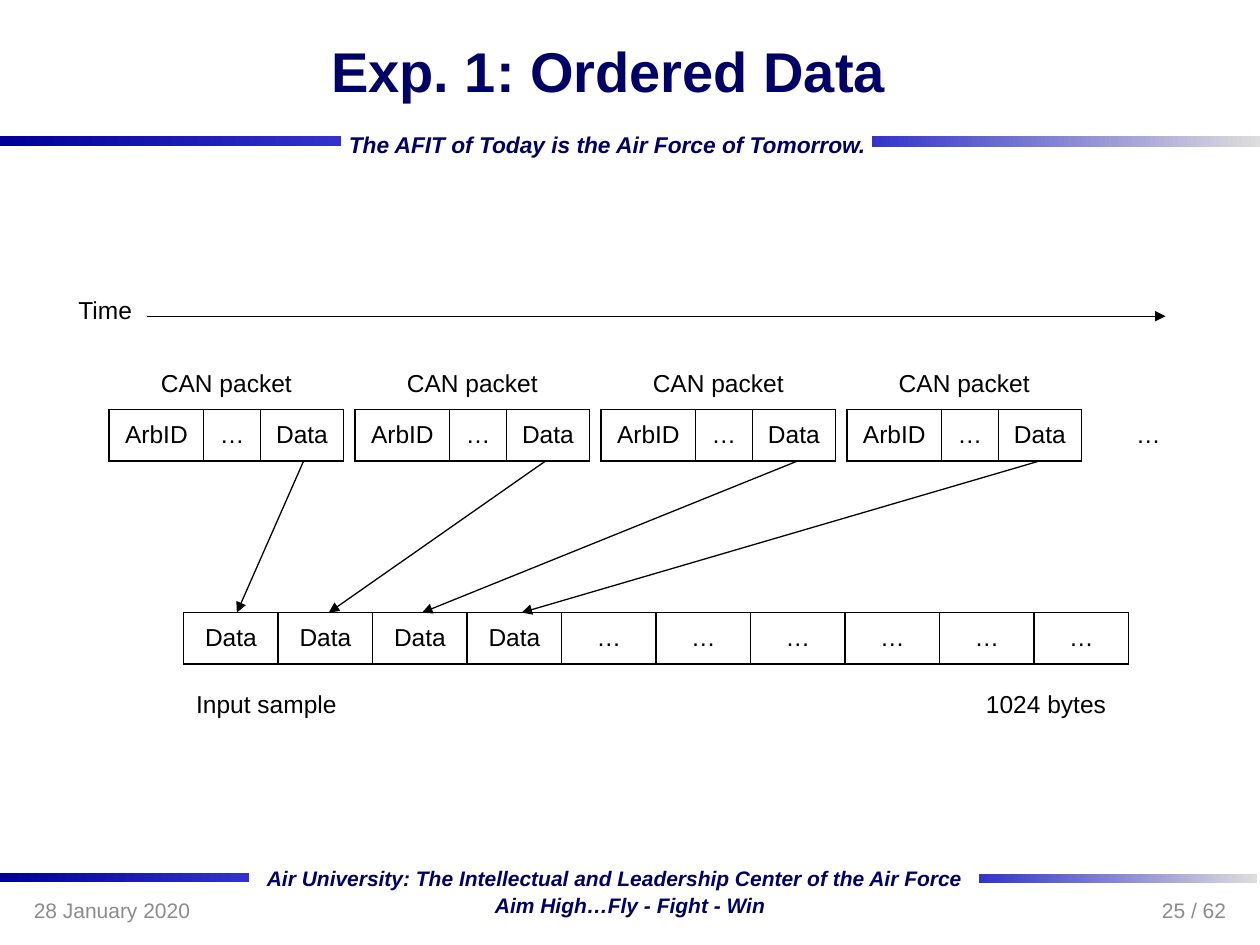
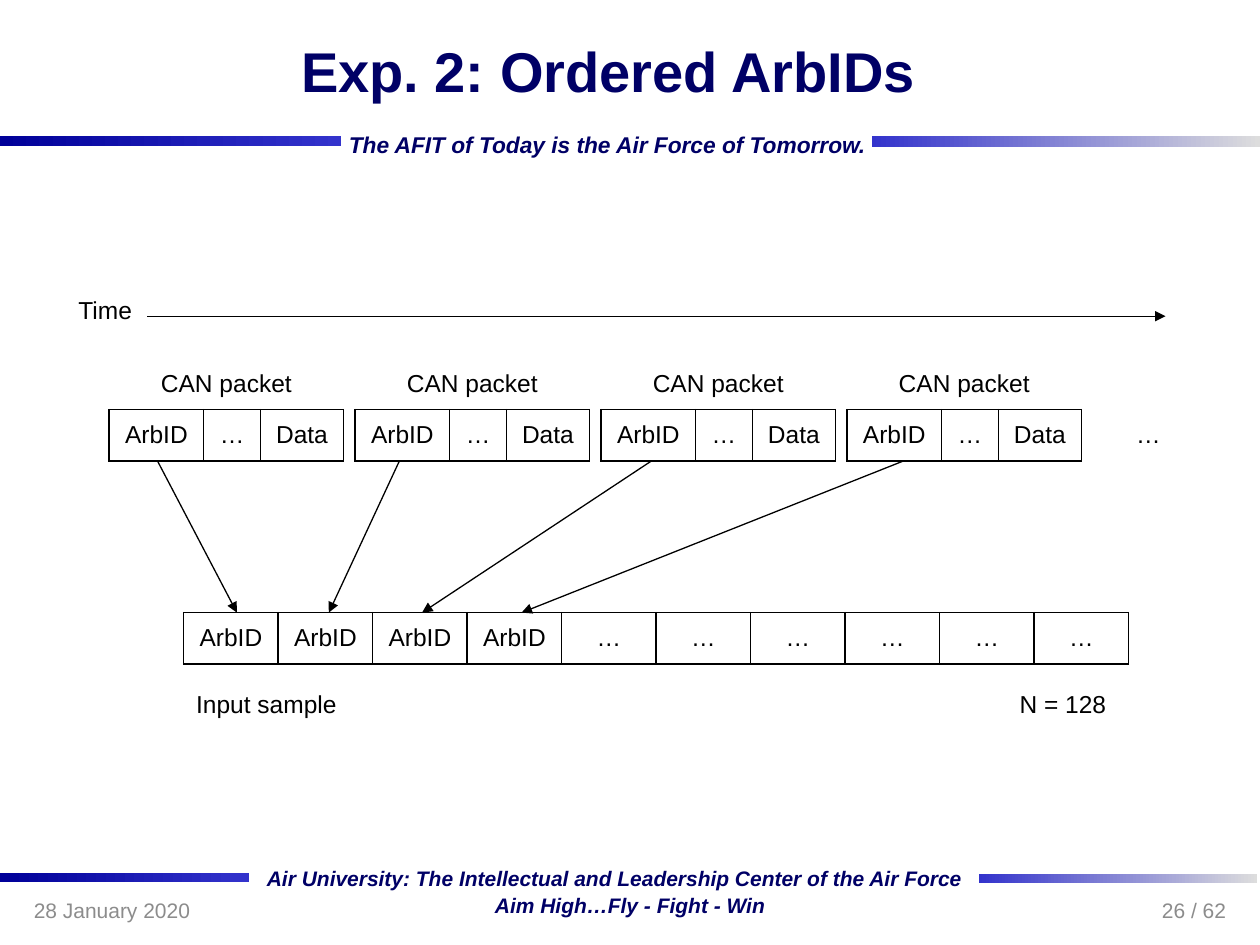
from dataclasses import dataclass

from lxml import etree
from pptx import Presentation
from pptx.dml.color import RGBColor
from pptx.enum.shapes import MSO_CONNECTOR, MSO_SHAPE
from pptx.enum.text import MSO_ANCHOR, PP_ALIGN
from pptx.oxml.ns import qn
from pptx.util import Inches, Pt

LEFT, CENTER, RIGHT = PP_ALIGN.LEFT, PP_ALIGN.CENTER, PP_ALIGN.RIGHT
MIDDLE = MSO_ANCHOR.MIDDLE
RECTANGLE = MSO_SHAPE.RECTANGLE
STRAIGHT = MSO_CONNECTOR.STRAIGHT

COLUMNS, ROWS = 100, 75
UNIT = Inches(0.1)
FONT = "Arial"
NAVY, GRAY, BLACK, WHITE = "000066", "8C8C8C", "000000", "FFFFFF"
DARK_BAND = ("000099", "3333CC")
LIGHT_BAND = ("3333CC", "DDDDDD")
PLAIN_TABLE = "{2D5ABB26-0587-4C30-8999-92F81FD0307C}"

ROW_HEIGHT = 4.07
PACKET_COLUMNS = (7.5, 4.5, 6.6)
PACKET_STEP = 19.52
PACKET_COUNT = 4
SAMPLE_CELLS = 10
SAMPLE_COLUMN = 7.5
ARROW_ENDS = (18.8, 26.1, 33.5, 41.4)


@dataclass
class Box:
    left: float
    top: float
    width: float
    height: float

    def inside(self, left, top, width, height):
        return Box(self.left + left, self.top + top, width, height)

    def lengths(self):
        return [grid(value) for value in (self.left, self.top, self.width, self.height)]


def grid(value):
    return int(value * UNIT)


def color(value):
    return RGBColor.from_string(value)


def add_run(paragraph, text, size, fill, bold=False, italic=False):
    run = paragraph.add_run()
    run.text = text
    font = run.font
    font.name, font.size, font.bold, font.italic = FONT, Pt(size), bold, italic
    font.color.rgb = color(fill)


def add_text(slide, box, text, size=14, fill=BLACK, align=LEFT, wrap=False,
             bold=False, italic=False):
    frame = slide.shapes.add_textbox(*box.lengths()).text_frame
    frame.word_wrap = wrap
    frame.vertical_anchor = MIDDLE
    paragraph = frame.paragraphs[0]
    paragraph.alignment = align
    add_run(paragraph, text, size, fill, bold, italic)


def add_band(slide, box, colors):
    band = slide.shapes.add_shape(RECTANGLE, *box.lengths())
    band.shadow.inherit = False
    band.line.fill.background()
    band.fill.gradient()
    band.fill.gradient_angle = 0
    for stop, value in zip(band.fill.gradient_stops, colors):
        stop.color.rgb = color(value)


def add_arrow(slide, start, end):
    arrow = slide.shapes.add_connector(STRAIGHT, *map(grid, start + end))
    arrow.line.color.rgb = color(BLACK)
    arrow.line.width = Pt(0.75)
    properties = arrow._element.spPr
    etree.SubElement(properties.find(qn("a:ln")), qn("a:tailEnd"), type="triangle")
    etree.SubElement(properties, qn("a:effectLst"))


def add_borders(cell, sides):
    properties = cell._tc.get_or_add_tcPr()
    for side in sides:
        line = etree.SubElement(properties, qn(f"a:ln{side}"), w=str(Pt(1)))
        solid = etree.SubElement(line, qn("a:solidFill"))
        etree.SubElement(solid, qn("a:srgbClr"), val=BLACK)


def fill_cell(cell, text, sides="", fill=None):
    add_borders(cell, sides)
    if fill:
        cell.fill.solid()
        cell.fill.fore_color.rgb = color(fill)
    else:
        cell.fill.background()
    cell.vertical_anchor = MIDDLE
    if text:
        paragraph = cell.text_frame.paragraphs[0]
        paragraph.alignment = CENTER
        add_run(paragraph, text, 14, BLACK)


def add_plain_table(slide, box, row_count, widths):
    frame = slide.shapes.add_table(row_count, len(widths), *box.lengths())
    frame._element.find(".//" + qn("a:tableStyleId")).text = PLAIN_TABLE
    table = frame.table
    table.first_row = table.horz_banding = False
    for column, width in zip(table.columns, widths):
        column.width = grid(width)
    for row in table.rows:
        row.height = grid(box.height / row_count)
    return table


def add_packet(slide, box, heading, fields, bordered=True, fill=None):
    table = add_plain_table(slide, box, 2, PACKET_COLUMNS)
    table.cell(0, 0).merge(table.cell(0, len(fields) - 1))
    for index, field in enumerate(fields):
        fill_cell(table.cell(0, index), "" if index else heading,
                  "B" if bordered else "", fill)
        fill_cell(table.cell(1, index), field, "LRTB" if bordered else "", fill)


def add_packets(slide, box):
    size = (sum(PACKET_COLUMNS), box.height)
    add_packet(slide, box.inside(box.width - size[0], 0, *size), "", ("", "…", ""),
               bordered=False, fill=WHITE)
    for index in range(PACKET_COUNT):
        add_packet(slide, box.inside(index * PACKET_STEP, 0, *size),
                   "CAN packet", ("ArbID", "…", "Data"))


def add_sample(slide, box, field, length, length_width):
    cells = [field] * PACKET_COUNT + ["…"] * (SAMPLE_CELLS - PACKET_COUNT)
    table = add_plain_table(slide, box, 1, [SAMPLE_COLUMN] * SAMPLE_CELLS)
    for index, text in enumerate(cells):
        fill_cell(table.cell(0, index), text, "LRTB")
    add_text(slide, box.inside(0, 5.5, 13.2, 3.4), "Input sample")
    add_text(slide, box.inside(box.width - 0.8 - length_width, 5.5, length_width, 3.4),
             length, align=RIGHT)


def add_timeline(slide, box):
    add_text(slide, box.inside(0, 0, 7.5, box.height), "Time", align=CENTER, wrap=True)
    middle = box.top + box.height / 2 + 0.5
    add_arrow(slide, (box.left + 7.1, middle), (box.left + box.width, middle))


def add_header(slide, box, title):
    add_band(slide, box.inside(0, 10.8, 27.1, 0.8), DARK_BAND)
    add_band(slide, box.inside(69.2, 10.8, 30.8, 0.9), LIGHT_BAND)
    add_text(slide, box.inside(26.7, 9.9, 43.5, 3.1),
             "The AFIT of Today is the Air Force of Tomorrow.",
             13, NAVY, bold=True, italic=True)
    add_text(slide, box.inside(5.8, 0, 85, 11.2), title, 32, NAVY, CENTER, True, bold=True)


def add_footer(slide, box, number):
    add_band(slide, box.inside(0, 1.1, 19.8, 0.7), DARK_BAND)
    add_band(slide, box.inside(77.7, 1.2, 22.1, 0.7), LIGHT_BAND)
    add_text(slide, box.inside(20.2, 0, 57.6, 2.9),
             "Air University: The Intellectual and Leadership Center of the Air Force",
             12, NAVY, bold=True, italic=True)
    add_text(slide, box.inside(38.3, 2.2, 23.6, 2.9), "Aim High…Fly - Fight - Win",
             12, NAVY, bold=True, italic=True)
    add_text(slide, box.inside(1.7, 2, 23.3, 4), "28 January 2020", 12, GRAY, wrap=True)
    add_text(slide, box.inside(75, 2, 23.3, 4), f"{number} / 62", 12, GRAY, RIGHT, True)


def add_experiment(presentation, number, title, field, arrow_starts, length, length_width):
    slide = presentation.slides.add_slide(presentation.slide_layouts[6])
    packets = Box(8.67, 28.45, COLUMNS - 8.67, 2 * ROW_HEIGHT)
    sample = Box(14.58, 48.62, SAMPLE_CELLS * SAMPLE_COLUMN, ROW_HEIGHT)
    add_header(slide, Box(0, 0, COLUMNS, 13), title)
    add_packets(slide, packets)
    add_sample(slide, sample, field, length, length_width)
    for start, end in zip(arrow_starts, ARROW_ENDS):
        add_arrow(slide, (start, packets.top + packets.height), (end, sample.top))
    add_timeline(slide, Box(4.6, 22.6, 87.9, 4))
    add_footer(slide, Box(0, 68.2, COLUMNS, 6.8), number)


def main():
    presentation = Presentation()
    presentation.slide_width = COLUMNS * UNIT
    presentation.slide_height = ROWS * UNIT
    add_experiment(presentation, 25, "Exp. 1: Ordered Data", "Data",
                   (24.1, 43.3, 63.3, 82.5), "1024 bytes", 11.6)
    add_experiment(presentation, 26, "Exp. 2: Ordered ArbIDs", "ArbID",
                   (12.5, 31.7, 51.7, 71.7), "N = 128", 8.9)
    presentation.save("out.pptx")


if __name__ == "__main__":
    main()
